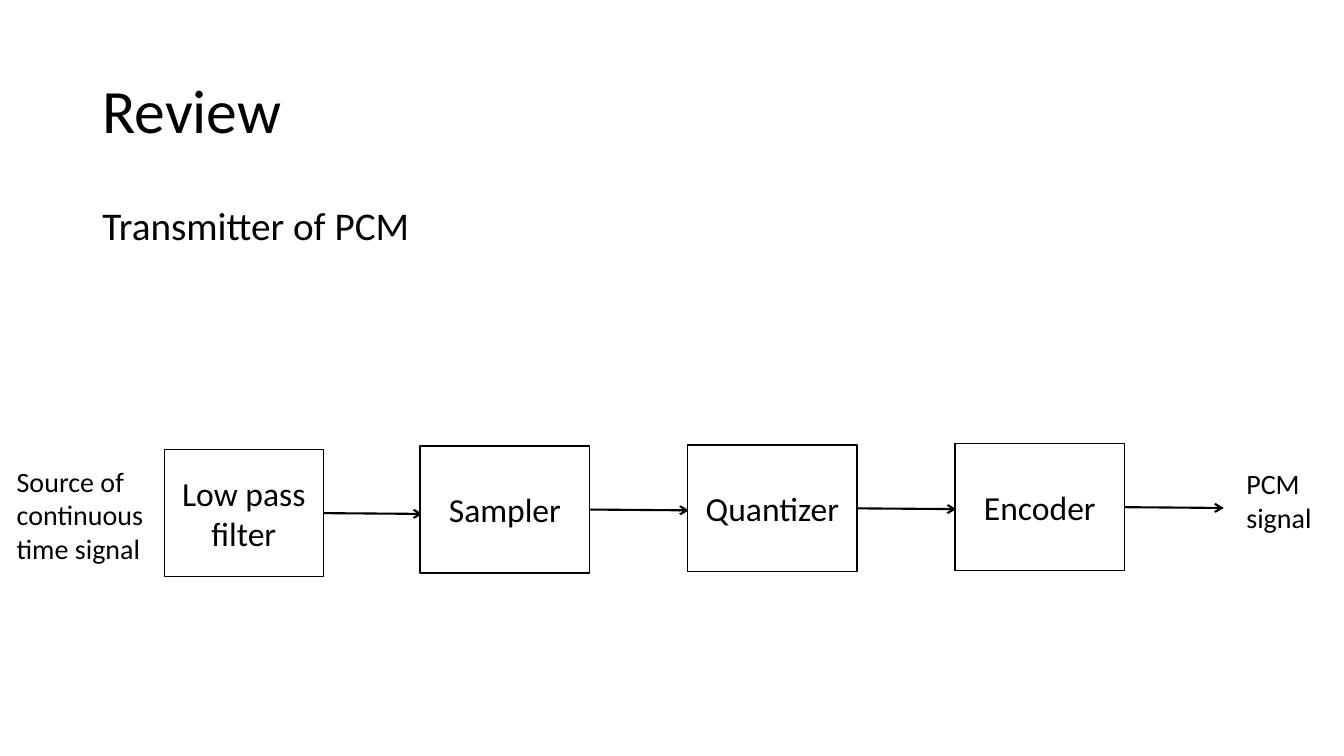
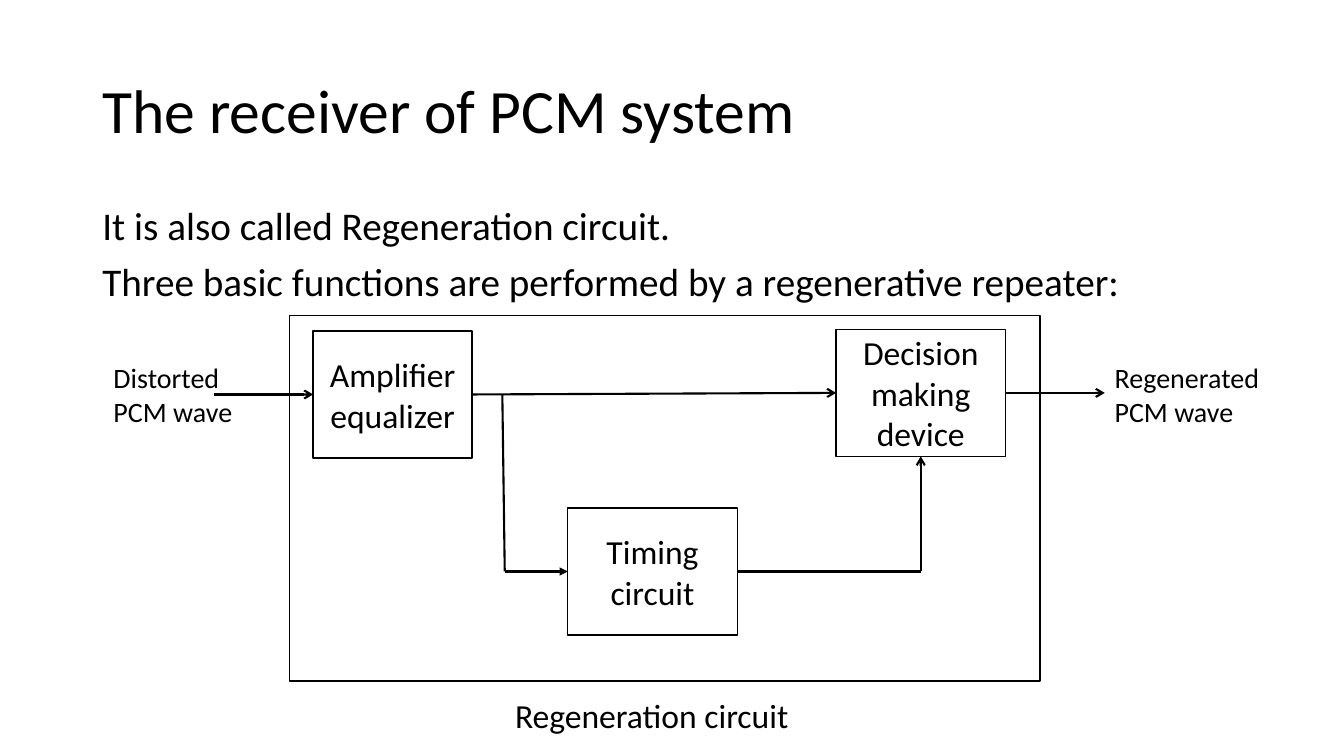
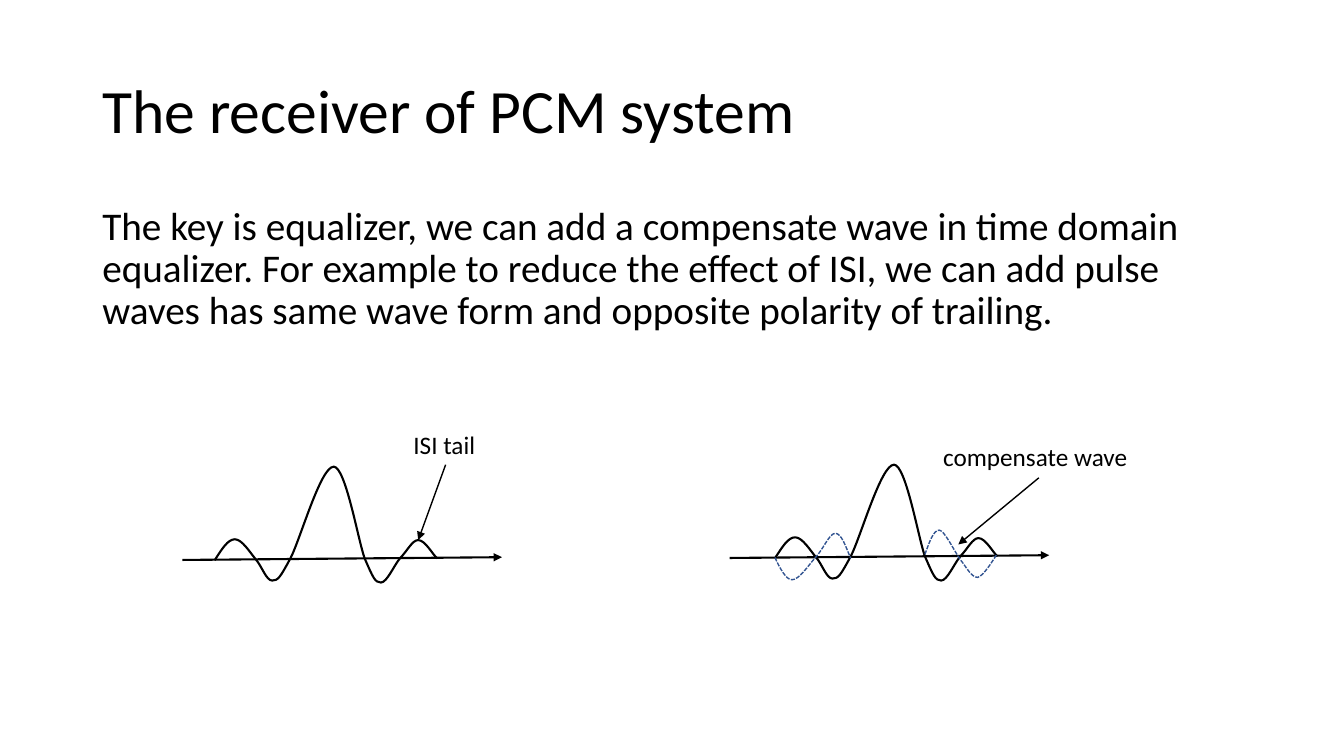
from dataclasses import dataclass

from lxml.etree import SubElement
from pptx import Presentation
from pptx.dml.color import RGBColor
from pptx.enum.dml import MSO_LINE
from pptx.enum.shapes import MSO_CONNECTOR, MSO_SHAPE
from pptx.enum.text import MSO_ANCHOR as Anchor, PP_ALIGN as Align
from pptx.oxml.ns import qn
from pptx.util import Cm, Pt


@dataclass(frozen=True)
class Theme:
    """Colours, type sizes and line widths shared by all slides."""
    ink: RGBColor = RGBColor(0, 0, 0)
    paper: RGBColor = RGBColor(255, 255, 255)
    accent: RGBColor = RGBColor(0x32, 0x54, 0x91)
    font: str = "Calibri"
    title: int = 44
    body: int = 28
    block: int = 24
    label: int = 20
    note: int = 18
    thin: float = 1
    thick: float = 1.5


@dataclass(frozen=True)
class Box:
    """A rectangle in centimetres."""
    left: float
    top: float
    width: float
    height: float

    @property
    def right(self):
        return self.left + self.width

    @property
    def bottom(self):
        return self.top + self.height

    @property
    def center(self):
        return self.left + self.width / 2

    @property
    def middle(self):
        return self.top + self.height / 2

    def inside(self, left, top, width, height):
        """Return a box placed relative to this one."""
        return Box(self.left + left, self.top + top, width, height)

    def point(self, x, y):
        """Return a point placed relative to this box."""
        return self.left + x, self.top + y

    def lengths(self):
        """Return the four lengths that python-pptx expects."""
        return Cm(self.left), Cm(self.top), Cm(self.width), Cm(self.height)


THEME = Theme()
PAGE = Box(0, 0, 33.87, 19.05)
TITLE = Box(2.33, 1.01, 29.21, 3.68)
BODY = Box(2.33, 5.07, 29.21, 12.09)
BLOCK_WIDTH, NARROW_WIDTH, BLOCK_HEIGHT = 4.27, 4.01, 3.2
ARROW_LENGTH = 2.5

# Each curve is a start point and then cubic Bezier triples, in centimetres.
PULSE = [
    (0, 2.36),
    (0.18, 2.08), (0.33, 1.83), (0.51, 1.83),
    (0.69, 1.83), (0.89, 2.16), (1.04, 2.34),
    (1.19, 2.51), (1.3, 2.87), (1.45, 2.87),
    (1.6, 2.87), (1.65, 2.79), (1.91, 2.31),
    (2.16, 1.83), (2.67, 0), (3, 0),
    (3.3, 0), (3.61, 1.83), (3.78, 2.31),
    (3.99, 2.79), (4.04, 2.92), (4.19, 2.92),
    (4.34, 2.92), (4.52, 2.49), (4.67, 2.31),
    (4.85, 2.13), (4.98, 1.85), (5.13, 1.85),
    (5.31, 1.85), (5.51, 2.24), (5.61, 2.31),
]
LEADING_COMPENSATION = [
    (0, 2.34),
    (0.13, 2.62), (0.28, 2.9), (0.43, 2.9),
    (0.61, 2.9), (0.84, 2.54), (1.02, 2.34),
    (1.22, 2.13), (1.37, 1.73), (1.52, 1.73),
    (1.68, 1.73), (1.78, 2.06), (1.91, 2.36),
]
TRAILING_COMPENSATION = [
    (3.78, 2.26),
    (3.89, 1.96), (3.99, 1.65), (4.14, 1.65),
    (4.27, 1.65), (4.52, 2.18), (4.67, 2.39),
    (4.83, 2.59), (4.95, 2.84), (5.11, 2.84),
    (5.26, 2.82), (5.59, 2.26), (5.59, 2.26),
]


def write(frame, *texts, size, align=Align.LEFT, anchor=Anchor.TOP,
          spacing=1.0, before=0):
    """Write one paragraph per text into a text frame."""
    frame.word_wrap = True
    frame.vertical_anchor = anchor
    for index, text in enumerate(texts):
        para = frame.add_paragraph() if index else frame.paragraphs[0]
        para.alignment = align
        para.line_spacing = spacing
        para.space_before = Pt(before)
        span = para.add_run()
        span.text = text
        span.font.name = THEME.font
        span.font.size = Pt(size)
        span.font.color.rgb = THEME.ink


def add_text(page, box, *texts, **style):
    """Add a text box."""
    write(page.shapes.add_textbox(*box.lengths()).text_frame, *texts, **style)


def set_line(shape, color, width):
    """Give a shape or connector a solid line."""
    shape.line.color.rgb = color
    shape.line.width = Pt(width)


def add_block(page, box, text):
    """Add a white block with a centred name and return its box."""
    block = page.shapes.add_shape(MSO_SHAPE.RECTANGLE, *box.lengths())
    block.shadow.inherit = False
    block.fill.solid()
    block.fill.fore_color.rgb = THEME.paper
    set_line(block, THEME.ink, THEME.thin)
    write(block.text_frame, text, size=THEME.block, align=Align.CENTER,
          anchor=Anchor.MIDDLE)
    return box


def add_line(page, start, end, head=None, width=THEME.thick):
    """Draw a straight line with an optional arrowhead at its end."""
    line = page.shapes.add_connector(
        MSO_CONNECTOR.STRAIGHT, *(Cm(value) for value in (*start, *end)))
    set_line(line, THEME.ink, width)
    properties = line._element.spPr
    if head:
        SubElement(properties.find(qn("a:ln")), qn("a:tailEnd"), type=head)
    SubElement(properties, qn("a:effectLst"))


def bend(shape):
    """Turn each three straight segments of a freeform into one Bezier."""
    segments = list(shape._element.iter(qn("a:lnTo")))
    outline = segments[0].getparent()
    for first in range(0, len(segments), 3):
        curve = SubElement(outline, qn("a:cubicBezTo"))
        for segment in segments[first:first + 3]:
            curve.append(segment[0])
            outline.remove(segment)


def add_curve(page, box, curve, color=THEME.ink, width=THEME.thick, dash=None):
    """Draw an open Bezier curve relative to a box."""
    points = [tuple(Cm(value) for value in box.point(*point))
              for point in curve]
    builder = page.shapes.build_freeform(*points[0])
    builder.add_line_segments(points[1:], close=False)
    shape = builder.convert_to_shape()
    bend(shape)
    shape.shadow.inherit = False
    shape.fill.background()
    set_line(shape, color, width)
    if dash:
        shape.line.dash_style = dash


def add_page(deck, title, *texts):
    """Add a slide with its title and body text."""
    page = deck.slides.add_slide(deck.slide_layouts[6])
    add_text(page, TITLE, title, size=THEME.title, anchor=Anchor.MIDDLE,
             spacing=0.9)
    add_text(page, BODY, *texts, size=THEME.body, spacing=0.9, before=10)
    return page


def draw_transmitter(page, area):
    """Draw the chain of transmitter stages from source to signal."""
    pitch, sampler_left = 6.74, 10.59
    stages = [("Sampler", 0.06), ("Quantizer", 0.03), ("Encoder", 0)]
    blocks = [("Low pass filter",
               area.inside(4.14, 0.15, NARROW_WIDTH, BLOCK_HEIGHT))]
    blocks += [(name, area.inside(sampler_left + index * pitch, top,
                                  BLOCK_WIDTH, BLOCK_HEIGHT))
               for index, (name, top) in enumerate(stages)]
    for name, box in blocks:
        add_block(page, box, name)
        add_line(page, (box.right, box.middle),
                 (box.right + ARROW_LENGTH, box.middle + 0.02), "arrow")
    add_text(page, area.inside(0.17, 0.39, 4.06, 2.79),
             "Source of continuous time signal", size=THEME.label)
    add_text(page, area.inside(31.16, 0.45, 2.41, 1.96), "PCM signal",
             size=THEME.label)


def draw_regenerator(page, area):
    """Draw the regeneration circuit with its frame, labels and caption."""
    amplifier = add_block(
        page, area.inside(0.6, 0.39, NARROW_WIDTH, BLOCK_HEIGHT),
        "Amplifier equalizer")
    timing = add_block(
        page, area.inside(7.02, 4.85, BLOCK_WIDTH, BLOCK_HEIGHT),
        "Timing circuit")
    decision = add_block(
        page, area.inside(13.78, 0.35, BLOCK_WIDTH, BLOCK_HEIGHT),
        "Decision making device")

    branch = amplifier.right + 0.76
    corner = (branch + 0.06, timing.middle)
    turn = (decision.center, timing.middle)
    for start, end, head in [
        ((amplifier.left - ARROW_LENGTH, amplifier.middle),
         (amplifier.left, amplifier.middle), "arrow"),
        ((amplifier.right, amplifier.middle),
         (decision.left, decision.middle), "arrow"),
        ((decision.right, decision.middle),
         (decision.right + ARROW_LENGTH, decision.middle), "arrow"),
        ((branch, amplifier.middle), corner, None),
        (corner, (timing.left, timing.middle), "triangle"),
        ((timing.right, timing.middle), turn, None),
        (turn, (decision.center, decision.bottom), "arrow"),
    ]:
        add_line(page, start, end, head)

    frame = page.shapes.add_shape(MSO_SHAPE.RECTANGLE, *area.lengths())
    frame.shadow.inherit = False
    frame.fill.background()
    set_line(frame, THEME.ink, THEME.thin)

    add_text(page, area.inside(-4.68, 1.02, 4.06, 1.96),
             "Distorted PCM wave", size=THEME.label)
    add_text(page, area.inside(20.55, 1.02, 4.27, 1.96),
             "Regenerated PCM wave", size=THEME.label)
    add_text(page, area.inside(5.44, area.height + 0.22, 9.32, 1.27),
             "Regeneration circuit", size=THEME.block)


def draw_pulse(page, area, axis_left, note, note_box, pointer):
    """Draw a pulse on its time axis with a note pointing at it."""
    add_line(page, area.point(axis_left, 2.35),
             area.point(axis_left + 8.05, 2.28), "triangle")
    add_curve(page, area, PULSE)
    add_text(page, area.inside(*note_box), note, size=THEME.note)
    start, end = pointer
    add_line(page, area.point(*start), area.point(*end), "triangle",
             THEME.thin)


def draw_equalization(page, tail_area, compensated_area):
    """Draw the pulse with its tail, then with the compensating waves."""
    draw_pulse(page, tail_area, -0.81, "ISI tail",
               (4.76, -1.07, 2.11, 1.02), ((5.82, -0.05), (5.13, 1.85)))
    draw_pulse(page, compensated_area, -1.14, "compensate wave",
               (3.99, -0.71, 5.31, 1.02), ((6.65, 0.33), (4.62, 2.01)))
    for curve in (LEADING_COMPENSATION, TRAILING_COMPENSATION):
        add_curve(page, compensated_area, curve, THEME.accent, THEME.thin,
                  MSO_LINE.SQUARE_DOT)


def build():
    """Build and save the deck."""
    deck = Presentation()
    deck.slide_width, deck.slide_height = Cm(PAGE.width), Cm(PAGE.height)

    page = add_page(deck, "Review", "Transmitter of PCM")
    draw_transmitter(page, Box(0, 11.18, PAGE.width, 3.35))

    receiver = "The receiver of PCM system"
    page = add_page(
        deck, receiver, "It is also called Regeneration circuit.",
        "Three basic functions are performed by a regenerative repeater:")
    draw_regenerator(page, Box(7.29, 7.95, 18.92, 9.21))

    page = add_page(
        deck, receiver,
        "The key is equalizer, we can add a compensate wave in time domain "
        "equalizer. For example to reduce the effect of ISI, we can add pulse "
        "waves has same wave form and opposite polarity of trailing.")
    draw_equalization(page, Box(5.41, 11.76, 5.61, 2.92),
                      Box(19.53, 11.71, 5.61, 2.92))

    deck.save("out.pptx")


build()
